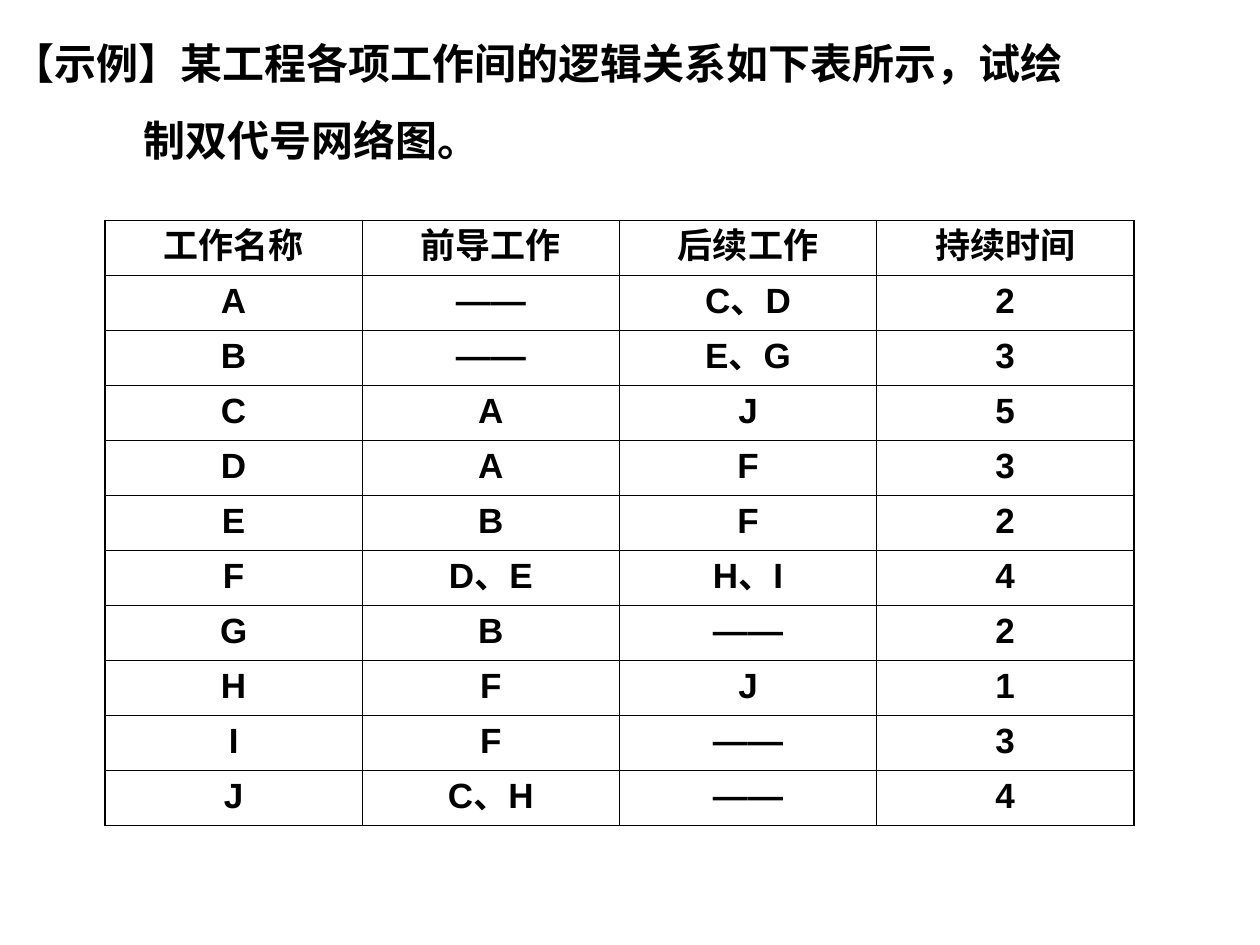
from lxml import etree
from pptx import Presentation
from pptx.dml.color import RGBColor
from pptx.enum.text import PP_ALIGN
from pptx.oxml.ns import qn
from pptx.util import Pt

CENTER = PP_ALIGN.CENTER
COLORS = {"ink": "000000"}
FONT = "Arial"
THIN, THICK = 0.45, 1.08
ROW_HEIGHT, COLUMN_WIDTH = 31.45, 147

HEADING = ["【示例】某工程各项工作间的逻辑关系如下表所示，试绘", "制双代号网络图。"]
ROWS = [
    ("工作名称", "前导工作", "后续工作", "持续时间"),
    ("A", "——", "C、D", "2"),
    ("B", "——", "E、G", "3"),
    ("C", "A", "J", "5"),
    ("D", "A", "F", "3"),
    ("E", "B", "F", "2"),
    ("F", "D、E", "H、I", "4"),
    ("G", "B", "——", "2"),
    ("H", "F", "J", "1"),
    ("I", "F", "——", "3"),
    ("J", "C、H", "——", "4"),
]


def write_text(paragraph, text, size):
    run = paragraph.add_run()
    run.text = text
    for name, value in {"name": FONT, "size": Pt(size), "bold": True}.items():
        setattr(run.font, name, value)
    run.font.color.rgb = RGBColor.from_string(COLORS["ink"])
    properties = run._r.get_or_add_rPr()
    etree.SubElement(properties, qn("a:ea"), typeface=FONT)


def add_border(cell, side, width):
    properties = cell._tc.get_or_add_tcPr()
    line = etree.SubElement(properties, qn(f"a:{side}"), w=str(int(Pt(width))))
    fill = etree.SubElement(line, qn("a:solidFill"))
    etree.SubElement(fill, qn("a:srgbClr"), val=COLORS["ink"])


presentation = Presentation()
presentation.slide_width, presentation.slide_height = Pt(720), Pt(540)
slide = presentation.slides.add_slide(presentation.slide_layouts[6])

heading = slide.shapes.add_textbox(Pt(0), Pt(18), Pt(678), Pt(80))
heading.text_frame.word_wrap = True
first_line = heading.text_frame.paragraphs[0]
second_line = heading.text_frame.add_paragraph()
second_line.space_before = Pt(15)
second_line._p.get_or_add_pPr().set("marL", str(int(Pt(75))))
for paragraph, text in zip((first_line, second_line), HEADING):
    write_text(paragraph, text, 24)

row_count, column_count = len(ROWS), len(ROWS[0])
table = slide.shapes.add_table(
    row_count, column_count, Pt(60), Pt(126),
    Pt(COLUMN_WIDTH * column_count), Pt(ROW_HEIGHT * row_count),
).table
table.first_row = False
table.horz_banding = False
for column in table.columns:
    column.width = Pt(COLUMN_WIDTH)

for row_index, row in enumerate(ROWS):
    table.rows[row_index].height = Pt(ROW_HEIGHT)
    for column_index, text in enumerate(row):
        cell = table.cell(row_index, column_index)
        paragraph = cell.text_frame.paragraphs[0]
        paragraph.alignment = CENTER
        write_text(paragraph, text, 20)
        outer_sides = {
            "lnL": column_index == 0,
            "lnR": column_index == column_count - 1,
            "lnT": row_index == 0,
            "lnB": row_index == row_count - 1,
        }
        for side, is_outer in outer_sides.items():
            add_border(cell, side, THICK if is_outer else THIN)
        cell.fill.background()

presentation.save("out.pptx")
